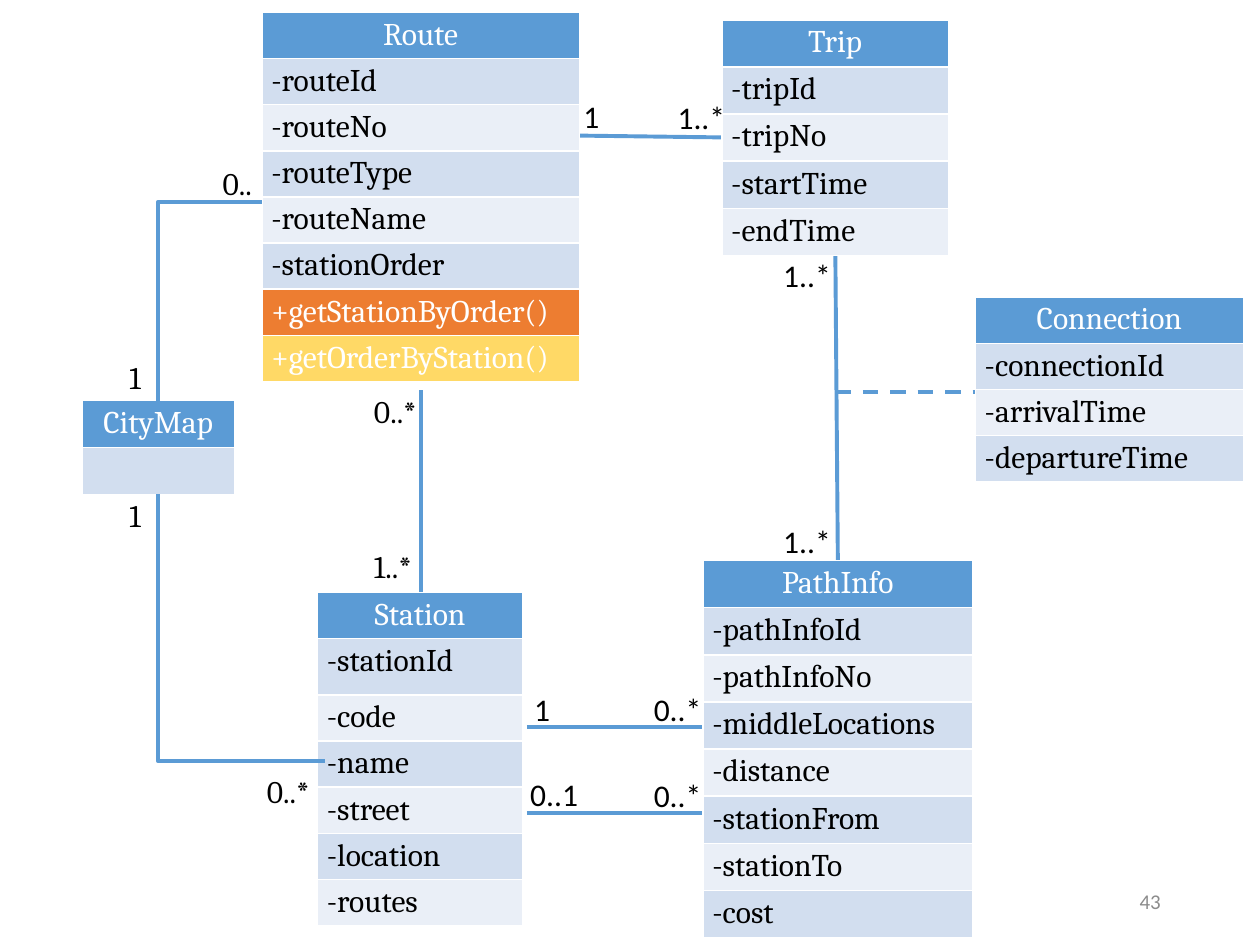
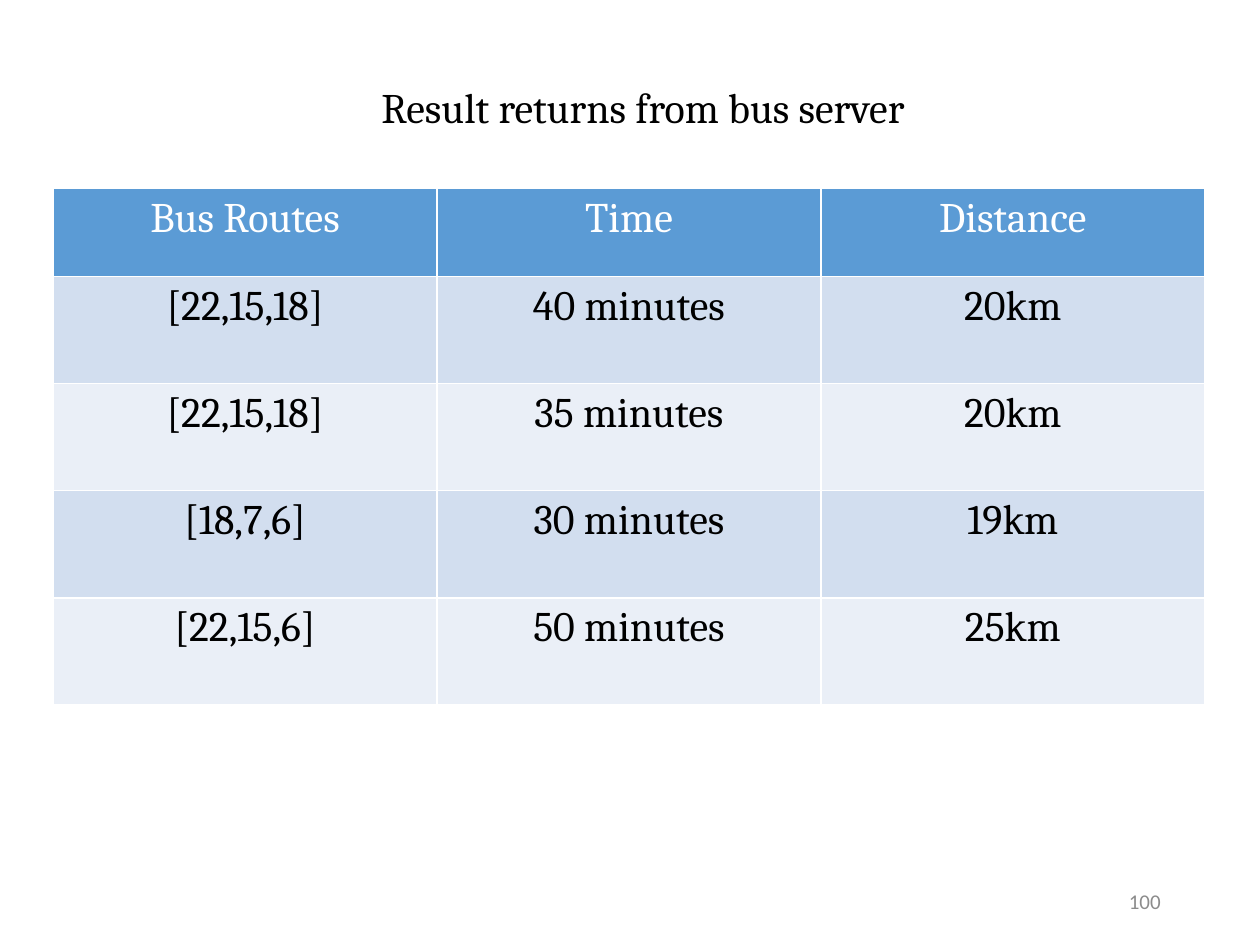
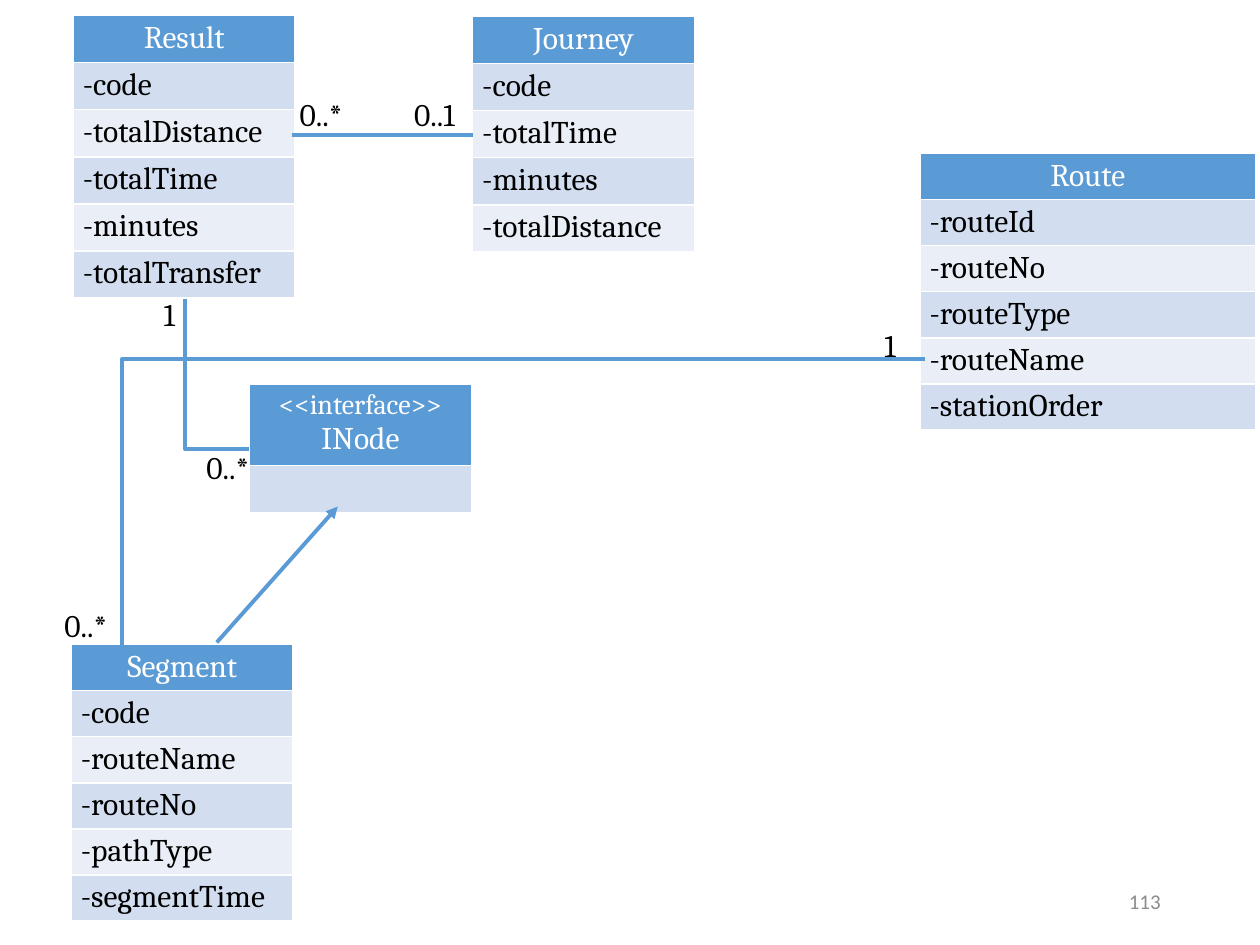
from dataclasses import dataclass

from lxml.etree import SubElement
from pptx import Presentation
from pptx.dml.color import RGBColor
from pptx.enum.dml import MSO_LINE_DASH_STYLE as Dash
from pptx.enum.shapes import MSO_CONNECTOR_TYPE as Connector
from pptx.enum.text import MSO_ANCHOR as Anchor
from pptx.enum.text import MSO_AUTO_SIZE as AutoSize
from pptx.enum.text import PP_ALIGN as Align
from pptx.oxml.ns import qn
from pptx.util import Cm, Pt


@dataclass(frozen=True)
class Theme:
    """Colours, fonts and sizes shared by all slides."""

    header: str = "5B9BD5"
    bands: tuple = ("D2DEEF", "EAEFF7")
    order_method: str = "ED7D31"
    station_method: str = "FFD966"
    ink: str = "000000"
    paper: str = "FFFFFF"
    muted: str = "8C8C8C"
    serif: str = "Cambria"
    sans: str = "Calibri"
    body: int = 18
    stereotype: int = 16
    large: int = 24
    small: int = 12
    line: float = 2.25
    grid: int = 1
    tight_row: float = 0.93
    row: float = 0.95


@dataclass(frozen=True)
class Box:
    """A region of a slide in centimetres."""

    left: float
    top: float
    width: float
    height: float = 0

    def lengths(self):
        """Return left, top, width and height as slide lengths."""
        return Cm(self.left), Cm(self.top), Cm(self.width), Cm(self.height)


THEME = Theme()
SLIDE = Box(0, 0, 25.4, 19.05)
LABEL_WIDTHS = {1: 0.85, 3: 1.17, 4: 1.5}
LABEL_HEIGHT = 1.02


def style_text(paragraph, size, color, font, align=Align.LEFT):
    """Format a paragraph and its runs."""
    paragraph.alignment = align
    for run in paragraph.runs:
        run.font.size = Pt(size)
        run.font.name = font
        run.font.bold = False
        run.font.color.rgb = RGBColor.from_string(color)


def add_text(slide, box, text, size=THEME.body, font=THEME.serif):
    """Add a text box of one unwrapped line."""
    text_frame = slide.shapes.add_textbox(*box.lengths()).text_frame
    text_frame.word_wrap = False
    text_frame.auto_size = AutoSize.SHAPE_TO_FIT_TEXT
    text_frame.text = text
    style_text(text_frame.paragraphs[0], size, THEME.ink, font)


def add_labels(slide, labels, font):
    """Add multiplicity labels given as text, left and top."""
    for text, left, top in labels:
        box = Box(left, top, LABEL_WIDTHS[len(text)], LABEL_HEIGHT)
        add_text(slide, box, text, font=font)


def add_page_number(slide, number):
    """Add the slide number at the lower right."""
    box = Box(SLIDE.width - 7.47, SLIDE.height - 1.4, 5.72, 1.02)
    text_frame = slide.shapes.add_textbox(*box.lengths()).text_frame
    text_frame.word_wrap = True
    text_frame.vertical_anchor = Anchor.MIDDLE
    text_frame.text = str(number)
    style_text(text_frame.paragraphs[0], THEME.small, THEME.muted, THEME.sans, Align.RIGHT)


def style_cell(cell, fill):
    """Draw the borders of a cell and fill it."""
    properties = cell._tc.get_or_add_tcPr()
    for side in "LRTB":
        border = SubElement(properties, qn(f"a:ln{side}"), w=str(Pt(THEME.grid)))
        solid = SubElement(border, qn("a:solidFill"))
        SubElement(solid, qn("a:srgbClr"), val=THEME.paper)
    cell.fill.solid()
    cell.fill.fore_color.rgb = RGBColor.from_string(fill)


def add_grid(slide, box, rows, heights, size, body_align=Align.LEFT, fills=None):
    """Add a banded table and return it."""
    box = Box(box.left, box.top, box.width, sum(heights))
    table = slide.shapes.add_table(len(rows), len(rows[0]), *box.lengths()).table
    table.first_row = table.horz_banding = False
    for column in table.columns:
        column.width = Cm(box.width / len(rows[0]))
    for index, (row, height) in enumerate(zip(rows, heights)):
        table.rows[index].height = Cm(height)
        is_header = index == 0
        band = THEME.header if is_header else THEME.bands[(index - 1) % 2]
        for column, text in enumerate(row):
            cell = table.cell(index, column)
            special = (fills or {}).get(text)
            cell.text_frame.text = text
            style_cell(cell, special or band)
            color = THEME.paper if is_header or special else THEME.ink
            align = Align.CENTER if is_header else body_align
            for paragraph in cell.text_frame.paragraphs:
                style_text(paragraph, size, color, THEME.serif, align)
    return table


def add_class(slide, box, name, members, row=THEME.row, tall=None, fills=None):
    """Add a class table; tall maps row texts to greater heights."""
    texts = [name, *members.split(" ")]
    heights = [(tall or {}).get(text, row) for text in texts]
    table = add_grid(slide, box, [[text] for text in texts], heights, THEME.body, fills=fills)
    for cell in table.iter_cells():
        cell.margin_left = cell.margin_right = Cm(0.19)
        cell.margin_top = cell.margin_bottom = Cm(0.09)
    return table


def add_line(slide, begin, end, kind=Connector.STRAIGHT, dashed=False, arrow=False):
    """Add an association line and return it."""
    points = [Cm(value) for value in (*begin, *end)]
    connector = slide.shapes.add_connector(kind, *points)
    connector.line.color.rgb = RGBColor.from_string(THEME.header)
    connector.line.width = Pt(THEME.line)
    if dashed:
        connector.line.dash_style = Dash.DASH
    properties = connector._element.spPr
    if arrow:
        SubElement(properties.find(qn("a:ln")), qn("a:tailEnd"), type="triangle")
    SubElement(properties, qn("a:effectLst"))
    return connector


def add_elbow(slide, begin, end, turn):
    """Add a line with one corner, at the begin (0) or end (1) column."""
    connector = add_line(slide, begin, end, Connector.ELBOW)
    adjustments = connector._element.spPr.find(qn("a:prstGeom")).find(qn("a:avLst"))
    SubElement(adjustments, qn("a:gd"), name="adj1", fmla=f"val {turn * 100000}")


def build_map_model(slide):
    """Draw the class diagram of the city map."""
    for begin, end in (
        ((10.62, 14.66), (15.52, 14.66)),
        ((10.62, 16.38), (15.52, 16.38)),
        ((10.62, 2.72), (14.55, 2.77)),
        ((16.84, 5.16), (16.89, 11.3)),
        ((8.48, 7.87), (8.48, 11.94)),
    ):
        add_line(slide, begin, end)
    add_line(slide, (16.84, 7.9), (19.66, 7.9), dashed=True)

    add_class(
        slide, Box(5.28, 0.25, 6.4), "Route",
        "-routeId -routeNo -routeType -routeName -stationOrder"
        " +getStationByOrder() +getOrderByStation()",
        THEME.tight_row,
        fills={
            "+getStationByOrder()": THEME.order_method,
            "+getOrderByStation()": THEME.station_method,
        },
    )
    add_class(slide, Box(19.66, 5.99, 5.41), "Connection",
              "-connectionId -arrivalTime -departureTime", THEME.tight_row)
    add_class(slide, Box(6.4, 11.94, 4.14), "Station",
              "-stationId -code -name -street -location -routes",
              THEME.tight_row, tall={"-stationId": 1.14})
    add_class(slide, Box(14.55, 0.4, 4.57), "Trip", "-tripId -tripNo -startTime -endTime")
    add_class(slide, Box(1.65, 8.07, 3.08), "CityMap", "")
    add_class(slide, Box(14.17, 11.3, 5.44), "PathInfo",
              "-pathInfoId -pathInfoNo -middleLocations -distance"
              " -stationFrom -stationTo -cost")

    add_elbow(slide, (5.28, 4.07), (3.19, 8.08), 1)
    add_elbow(slide, (3.19, 9.96), (6.55, 15.35), 0)
    add_labels(slide, (
        ("1", 10.52, 13.79), ("0..*", 12.93, 13.79),
        ("0..1", 10.44, 15.49), ("0..*", 12.93, 15.52),
        ("1", 11.51, 1.83), ("1..*", 13.41, 1.86),
        ("1..*", 15.54, 5.03), ("1..*", 15.54, 10.39),
    ), THEME.sans)
    add_labels(slide, (
        ("0..*", 7.29, 7.77), ("1..*", 7.29, 10.9),
        ("0..", 4.24, 3.18), ("1", 2.36, 7.09),
        ("0..*", 5.13, 15.44), ("1", 2.36, 9.88),
    ), THEME.serif)


def build_results(slide):
    """Show the table of results from the server."""
    rows = (
        ("Bus Routes", "Time", "Distance"),
        ("[22,15,18]", "40 minutes", "20km"),
        ("[22,15,18]", "35 minutes", "20km"),
        ("[18,7,6]", "30 minutes", "19km"),
        ("[22,15,6]", "50 minutes", "25km"),
    )
    heights = [1.78] + [2.16] * (len(rows) - 1)
    add_grid(slide, Box(1.07, 3.79, 23.22), rows, heights, THEME.large, Align.CENTER)
    add_text(slide, Box(7.44, 1.52, 11.68, 1.27), "Result returns from bus server", THEME.large)


def build_journey_model(slide):
    """Draw the class diagram of a journey."""
    add_class(slide, Box(18.55, 3.09, 6.76), "Route",
              "-routeId -routeNo -routeType -routeName -stationOrder", THEME.tight_row)
    add_class(slide, Box(1.44, 12.99, 4.47), "Segment",
              "-code -routeName -routeNo -pathType -segmentTime", THEME.tight_row)
    interface = "<<interface>>\nINode"
    node = add_class(slide, Box(5.03, 7.75, 4.47), interface, "", tall={interface: 1.63})
    stereotype = node.cell(0, 0).text_frame.paragraphs[0]
    style_text(stereotype, THEME.stereotype, THEME.paper, THEME.serif, Align.CENTER)
    add_class(slide, Box(9.53, 0.33, 4.47), "Journey",
              "-code -totalTime -minutes -totalDistance")
    add_class(slide, Box(1.48, 0.31, 4.47), "Result",
              "-code -totalDistance -totalTime -minutes -totalTransfer")

    add_line(slide, (5.89, 2.72), (9.53, 2.72))
    add_line(slide, (4.37, 12.95), (6.81, 10.21), arrow=True)
    add_elbow(slide, (3.73, 6.02), (5.03, 9.05), 0)
    add_elbow(slide, (18.64, 7.24), (2.46, 13), 1)
    add_labels(slide, (
        ("0..*", 1.05, 12.09), ("1", 3.05, 5.82), ("0..*", 3.91, 8.91),
        ("0..*", 5.79, 1.8), ("0..1", 8.1, 1.8), ("1", 17.58, 6.45),
    ), THEME.serif)


def main():
    """Build the presentation and save it."""
    presentation = Presentation()
    presentation.slide_width = Cm(SLIDE.width)
    presentation.slide_height = Cm(SLIDE.height)
    for build, number in (
        (build_map_model, 43),
        (build_results, 100),
        (build_journey_model, 113),
    ):
        slide = presentation.slides.add_slide(presentation.slide_layouts[6])
        build(slide)
        add_page_number(slide, number)
    presentation.save("out.pptx")


if __name__ == "__main__":
    main()
